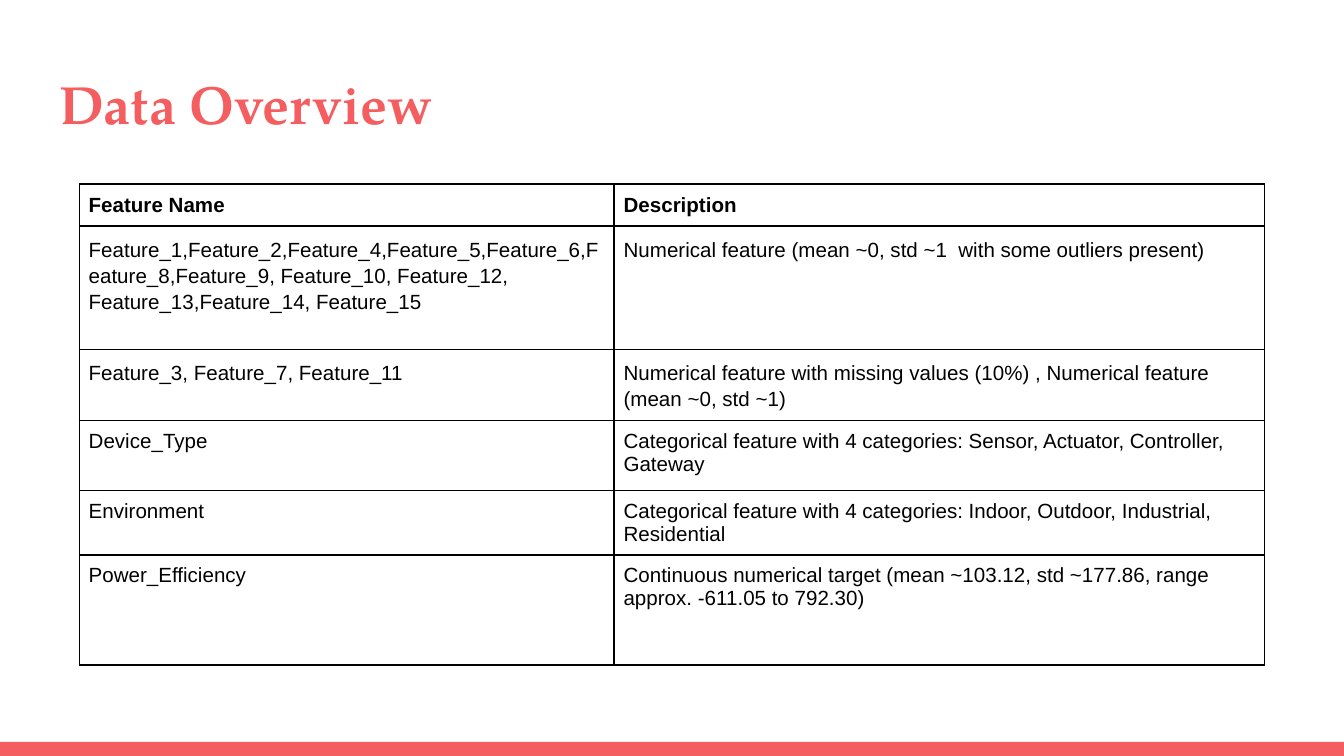
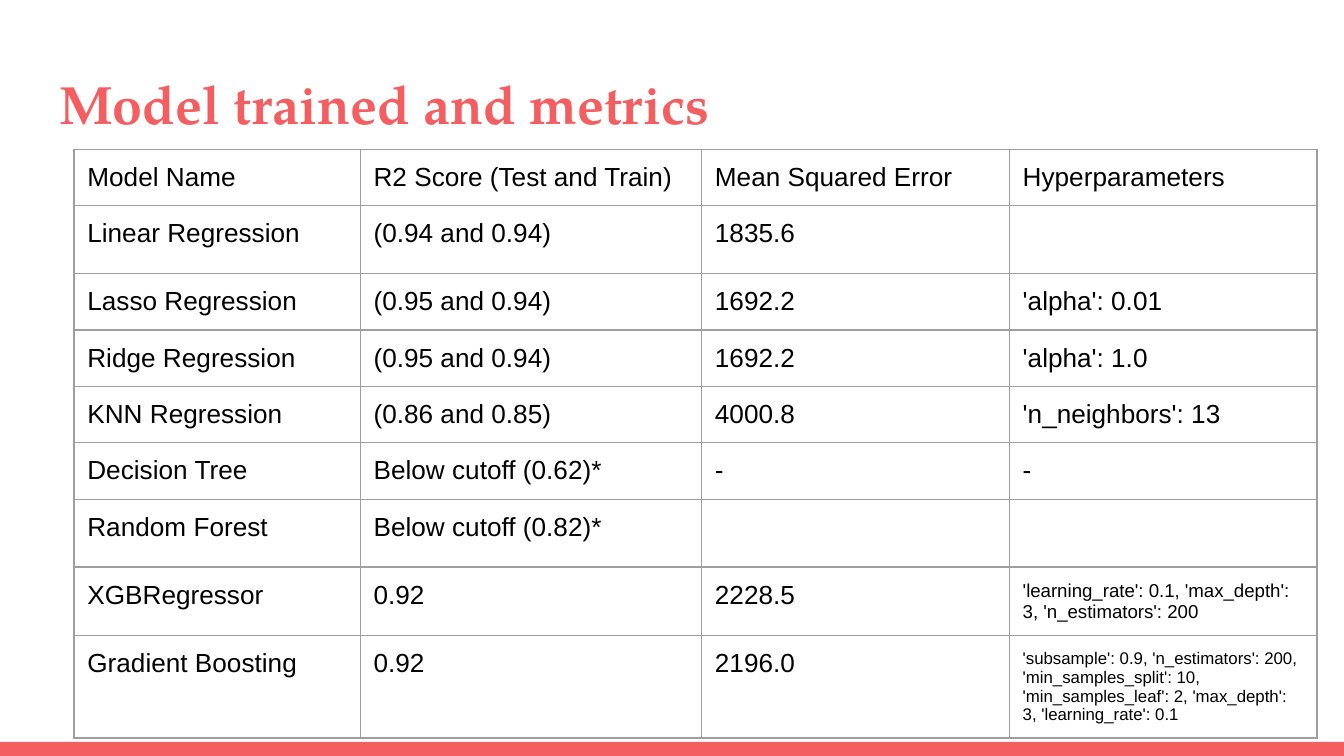
from pptx import Presentation
from pptx.dml.color import RGBColor
from pptx.enum.shapes import MSO_SHAPE as Shape
from pptx.enum.text import MSO_ANCHOR as Anchor, PP_ALIGN as Align
from pptx.oxml.ns import qn
from pptx.util import Inches, Pt
from lxml.etree import SubElement

CORAL = RGBColor(0xF5, 0x5E, 0x61)
BLACK = RGBColor(0x00, 0x00, 0x00)
GREY = RGBColor(0x9E, 0x9E, 0x9E)
TITLE_FONT = "TeX Gyre Pagella"
BODY_FONT = "Arial"

FEATURES = [
    ["Feature Name", "Description"],
    ["Feature_1,Feature_2,Feature_4,Feature_5,Feature_6,Feature_8,Feature_9, "
     "Feature_10, Feature_12, Feature_13,Feature_14, Feature_15",
     "Numerical feature (mean ~0, std ~1  with some outliers present)"],
    ["Feature_3, Feature_7, Feature_11",
     "Numerical feature with missing values (10%) , Numerical feature (mean ~0, std ~1)"],
    ["Device_Type",
     "Categorical feature with 4 categories: Sensor, Actuator, Controller, Gateway"],
    ["Environment",
     "Categorical feature with 4 categories: Indoor, Outdoor, Industrial, Residential"],
    ["Power_Efficiency",
     "Continuous numerical target (mean ~103.12, std ~177.86, "
     "range approx. -611.05 to 792.30)"],
]

MODELS = [
    ["Model Name", "R2 Score (Test and Train)", "Mean Squared Error", "Hyperparameters"],
    ["Linear Regression", "(0.94 and 0.94)", "1835.6", ""],
    ["Lasso Regression", "(0.95 and 0.94)", "1692.2", "'alpha': 0.01"],
    ["Ridge Regression", "(0.95 and 0.94)", "1692.2", "'alpha': 1.0"],
    ["KNN Regression", "(0.86 and 0.85)", "4000.8", "'n_neighbors': 13"],
    ["Decision Tree", "Below cutoff (0.62)*", "-", "-"],
    ["Random Forest", "Below cutoff (0.82)*", "", ""],
    ["XGBRegressor", "0.92", "2228.5",
     "'learning_rate': 0.1, 'max_depth': 3, 'n_estimators': 200"],
    ["Gradient Boosting", "0.92", "2196.0",
     "'subsample': 0.9, 'n_estimators': 200, 'min_samples_split': 10, "
     "'min_samples_leaf': 2, 'max_depth': 3, 'learning_rate': 0.1"],
]

deck = Presentation()
deck.slide_width = Inches(10)
deck.slide_height = Inches(5.625)


def add_page(heading):
    page = deck.slides.add_slide(deck.slide_layouts[5])
    band = page.shapes.add_shape(
        Shape.RECTANGLE, 0, Inches(5.52), deck.slide_width, Inches(0.11))
    band.shadow.inherit = False
    band.fill.solid()
    band.fill.fore_color.rgb = CORAL
    band.line.fill.background()

    title = page.shapes.title
    title.left, title.top = Inches(0.34), Inches(0.43)
    title.width, title.height = Inches(9.32), Inches(0.68)
    frame = title.text_frame
    frame.margin_left = frame.margin_right = Inches(0.1)
    frame.margin_top = frame.margin_bottom = Inches(0.1)
    frame.vertical_anchor = Anchor.TOP
    para = frame.paragraphs[0]
    para.alignment = Align.LEFT
    span = para.add_run()
    span.text = heading
    span.font.name = TITLE_FONT
    span.font.size = Pt(28.8)
    span.font.bold = True
    span.font.color.rgb = CORAL
    return page


def add_grid(page, rows, left, top, widths, heights, size, margin, border, weight,
             bold_rows=(), loose_rows=(), small_cells={}):
    table = page.shapes.add_table(
        len(rows), len(widths), Inches(left), Inches(top),
        Inches(sum(widths)), Inches(sum(heights))).table
    table.first_row = False
    table.horz_banding = False
    for column, width in zip(table.columns, widths):
        column.width = Inches(width)
    for r, (row, height) in enumerate(zip(rows, heights)):
        table.rows[r].height = Inches(height)
        for c, words in enumerate(row):
            cell = table.cell(r, c)
            cell.margin_left = cell.margin_right = Inches(margin)
            cell.margin_top = cell.margin_bottom = Inches(margin)
            cell_format = cell._tc.get_or_add_tcPr()
            for side in ("a:lnL", "a:lnR", "a:lnT", "a:lnB"):
                edge = SubElement(cell_format, qn(side), w=str(Pt(weight)))
                paint = SubElement(edge, qn("a:solidFill"))
                SubElement(paint, qn("a:srgbClr"), val=str(border))
            cell.fill.background()
            if not words:
                continue
            para = cell.text_frame.paragraphs[0]
            if r in loose_rows:
                para.line_spacing = 1.15
            span = para.add_run()
            span.text = words
            span.font.name = BODY_FONT
            span.font.size = Pt(small_cells.get((r, c), size))
            span.font.bold = r in bold_rows
            span.font.color.rgb = BLACK


overview = add_page("Data Overview")
add_grid(overview, FEATURES, 0.59, 1.37, [3.98, 4.84],
         [0.31, 0.92, 0.53, 0.52, 0.48, 0.82], 11, 0.07, BLACK, 1,
         bold_rows=(0,), loose_rows=(1, 2))

metrics = add_page("Model trained and metrics")
add_grid(metrics, MODELS, 0.55, 1.11, [2.13, 2.54, 2.29, 2.29],
         [0.42, 0.48, 0.42, 0.42, 0.42, 0.42, 0.48, 0.51, 0.76], 14, 0.1, GREY, 0.75,
         small_cells={(7, 3): 10, (8, 3): 9})

deck.save("out.pptx")
